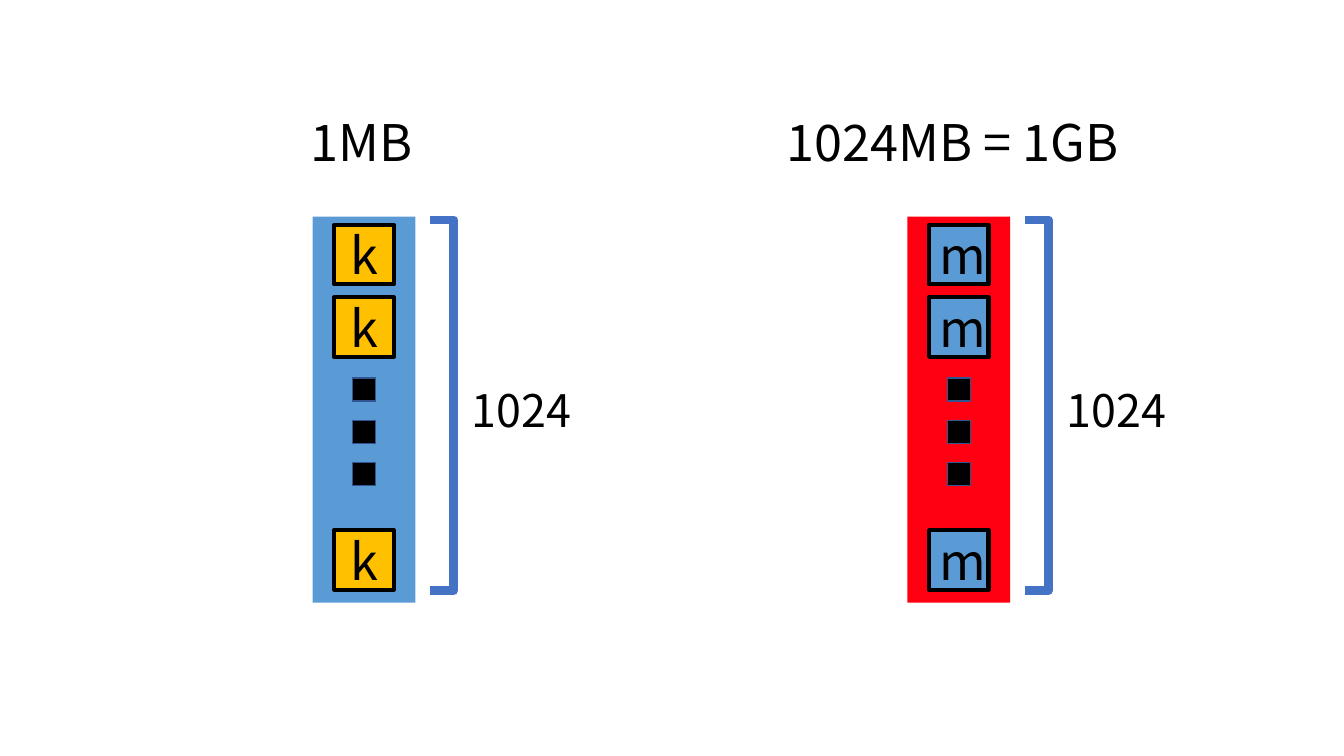
"""Build a slide that compares a megabyte of k blocks with a gigabyte of m blocks."""
from pptx import Presentation, util as u
from pptx.dml.color import RGBColor
from pptx.enum import shapes, text

FONT = "Noto Sans CJK KR"
BLACK, DOT_EDGE, BRACKET = "000000", "325491", "4472C4"
COUNT = "1024"
STACKS = [
    {"left": 9, "bar": "FF0013", "block": "5B9BD5", "letter": "m",
     "title": "1024MB = 1GB", "title_left": 7.7, "title_width": 3.71},
    {"left": 3.1, "bar": "5B9BD5", "block": "FFC000", "letter": "k",
     "title": "1MB", "title_left": 2.98, "title_width": 1.24},
]
BAR_TOP, BAR_WIDTH, BAR_HEIGHT = 2.15, 1.02, 3.83
BLOCK, BLOCK_TOPS = 0.59, (2.23, 2.95, 5.26)
DOT, DOT_TOP, DOT_STEP = 0.23, 3.75, 0.42

deck = Presentation()
deck.slide_width, deck.slide_height = u.Inches(13.33), u.Inches(7.5)
page = deck.slides.add_slide(deck.slide_layouts[6])


def color(value):
    return RGBColor.from_string(value)


def write(box, words, size, align=None):
    para = box.text_frame.paragraphs[0]
    para.text = words
    para.alignment = align
    para.font.name, para.font.size = FONT, u.Pt(size)
    para.font.color.rgb = color(BLACK)


def add_shape(kind, place, fill=None, line=None, weight=1):
    shape = page.shapes.add_shape(kind, *map(u.Inches, place))
    shape.shadow.inherit = False
    if fill:
        shape.fill.solid()
        shape.fill.fore_color.rgb = color(fill)
    else:
        shape.fill.background()
    if line:
        shape.line.color.rgb = color(line)
        shape.line.width = u.Pt(weight)
    else:
        shape.line.fill.background()
    return shape


def add_label(words, size, place, wrap):
    box = page.shapes.add_textbox(*map(u.Inches, place))
    box.text_frame.word_wrap = wrap
    box.text_frame.auto_size = text.MSO_AUTO_SIZE.SHAPE_TO_FIT_TEXT
    write(box, words, size)


def add_stack(stack):
    square = shapes.MSO_SHAPE.RECTANGLE
    left = stack["left"]
    middle = left + BAR_WIDTH / 2
    add_shape(square, (left, BAR_TOP, BAR_WIDTH, BAR_HEIGHT), stack["bar"])
    for top in BLOCK_TOPS:
        block = add_shape(square, (middle - BLOCK / 2, top, BLOCK, BLOCK),
                          stack["block"], BLACK, 3)
        write(block, stack["letter"], 36, text.PP_ALIGN.CENTER)
    for row in range(3):
        add_shape(square, (middle - DOT / 2, DOT_TOP + row * DOT_STEP, DOT, DOT),
                  BLACK, DOT_EDGE)
    bracket = add_shape(shapes.MSO_SHAPE.RIGHT_BRACKET,
                        (left + 1.17, 2.18, 0.23, 3.68), line=BRACKET, weight=6)
    bracket.adjustments[0] = 0
    add_label(stack["title"], 36,
              (stack["title_left"], 1.05, stack["title_width"], 0.71), False)
    add_label(COUNT, 32, (left + 1.48, 3.75, 1.22, 0.64), True)


for stack in STACKS:
    add_stack(stack)
deck.save("out.pptx")
